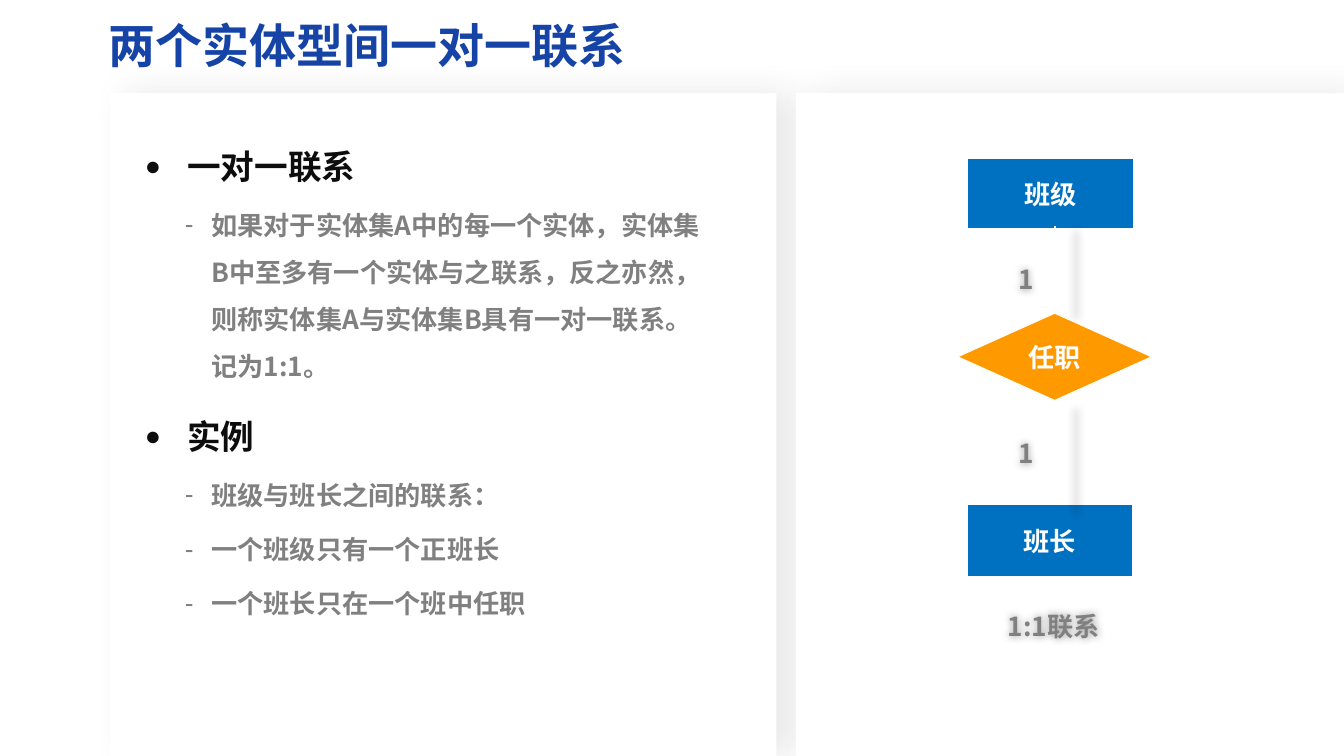
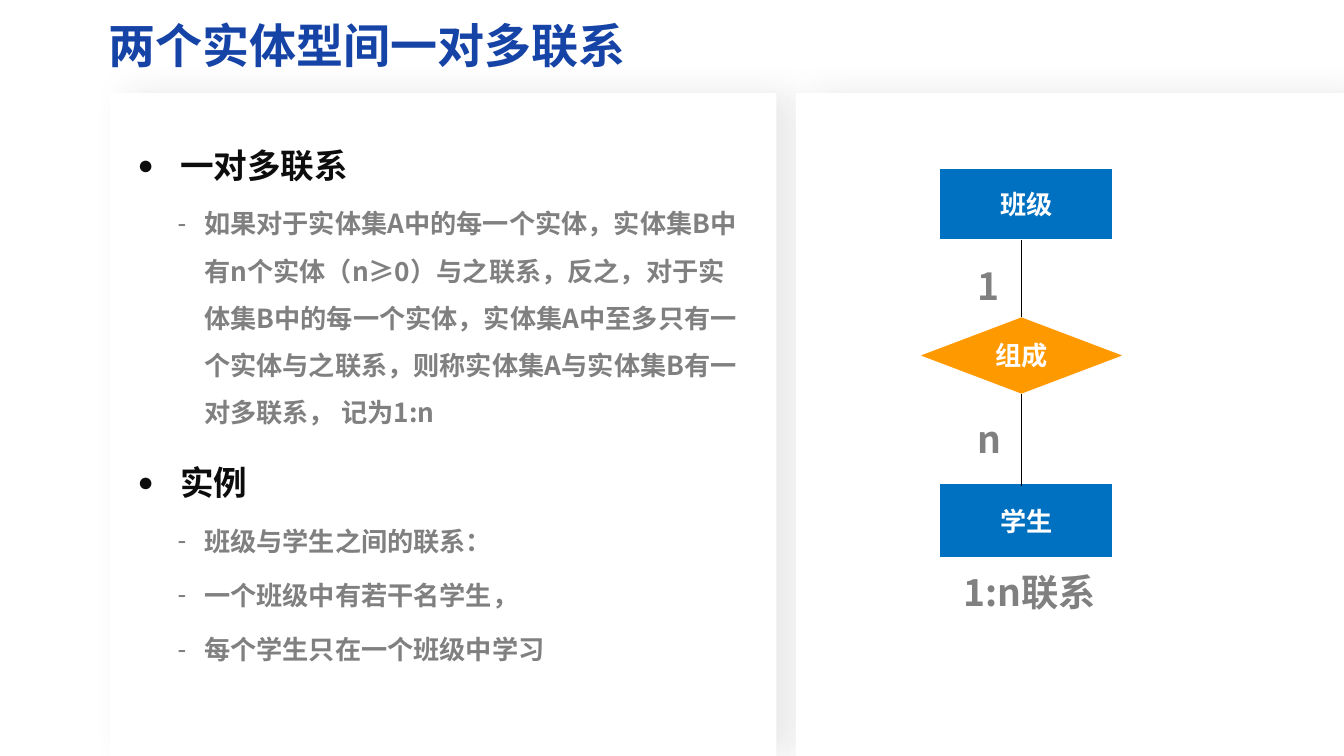
from lxml import etree
from pptx import Presentation
from pptx.dml.color import RGBColor
from pptx.enum import shapes, text
from pptx.oxml import ns
from pptx.util import Pt

FONT = "Noto Sans CJK SC"
BLUE, BLACK, GREY, WHITE = "1543A6", "0D0D0D", "808080", "FFFFFF"
ENTITY, RELATION = "0070C0", "FF9900"
TITLE_BOX = (56.9, 9.4, 715, 38.9)
PANELS = [(65.5, 55.5, 396.7, 394.5), (473.8, 55.5, 326.2, 394.5)]

# Shadows: colour, opacity %, blur, distance, scale %
PANEL_SHADOW = ("262626", 10, 20, 10, 100)
SOFT_SHADOW = ("000000", 40, 5, 0, 102)

# Outline levels: text format, paragraph format, bullet
LEVELS = [
    dict(size=20, color=BLACK, before=8.3, left=25.2, hang=25.2, bullet="●", scale=80),
    dict(size=15.6, color=GREY, before=4.2, left=39.6, hang=15.8, bullet="-", scale=100),
]

SLIDES = [
    dict(
        title="两个实体型间一对一联系",
        body_box=(79.2, 71.3, 347.8, 298.8),
        body=[
            (0, "一对一联系"),
            (1, "如果对于实体集A中的每一个实体，实体集B中至多有一个实体与之联系，"
                "反之亦然，则称实体集A与实体集B具有一对一联系。记为1:1。"),
            (0, "实例"),
            (1, "班级与班长之间的联系："),
            (1, "一个班级只有一个正班长"),
            (1, "一个班长只在一个班中任职"),
        ],
        entities=[("班级", (576, 94.3, 98.6, 41.8)),
                  ("班长", (576, 300.2, 97.9, 43.2))],
        relation=("任职", (570.2, 186.5, 115.2, 51.8)),
        link_ends=(134.6, 300.2),
        link=dict(color=WHITE, width=1),
        labels=[("1", (596.2, 148.3, 28.8, 35.3), "CENTER"),
                ("1", (596.2, 252, 28.8, 35.3), "CENTER"),
                ("1:1联系", (575.3, 356.4, 103.7, 32.4), "CENTER")],
        label=dict(size=15.6, anchor="MIDDLE"),
        shadow=SOFT_SHADOW,
    ),
    dict(
        title="两个实体型间一对多联系",
        body_box=(74.9, 70.6, 374.4, 326.9),
        body=[
            (0, "一对多联系"),
            (1, "如果对于实体集A中的每一个实体，实体集B中有n个实体（n≥0）与之联系，"
                "反之，对于实体集B中的每一个实体，实体集A中至多只有一个实体与之联系，"
                "则称实体集A与实体集B有一对多联系， 记为1:n"),
            (0, "实例"),
            (1, "班级与学生之间的联系："),
            (1, "一个班级中有若干名学生，"),
            (1, "每个学生只在一个班级中学习"),
        ],
        entities=[("班级", (559.4, 100.1, 103, 42.5)),
                  ("学生", (559.4, 288, 103, 43.9))],
        relation=("组成", (547.2, 188.6, 121.7, 46.1)),
        link_ends=(142.6, 289.4),
        link=dict(color="000000", width=0.75),
        labels=[("1", (574.6, 153.4, 29.5, 33.8), "LEFT"),
                ("n", (574.6, 244.1, 30.2, 33.8), "LEFT"),
                ("1:n联系", (558, 335.5, 109.4, 33.8), "CENTER")],
        label=dict(size=22.2, anchor="TOP"),
        shadow=None,
    ),
]


def rgb(value):
    return RGBColor.from_string(value)


def pts(box):
    return [Pt(n) for n in box]


def add_xml(parent, tag, **attrs):
    return etree.SubElement(parent, ns.qn(tag), {k: str(v) for k, v in attrs.items()})


def set_shadow(shape, shadow=None):
    """Call after fill and line are set; no shadow means an empty list."""
    effects = add_xml(shape._element.spPr, "a:effectLst")
    if shadow:
        color, opacity, blur, distance, scale = shadow
        outer = add_xml(effects, "a:outerShdw", blurRad=Pt(blur), dist=Pt(distance),
                        dir=0, sx=scale * 1000, sy=scale * 1000, algn="ctr",
                        rotWithShape=0)
        add_xml(add_xml(outer, "a:srgbClr", val=color), "a:alpha", val=opacity * 1000)


def write(paragraph, words, size, color):
    run = paragraph.add_run()
    run.text = words
    for name, value in dict(name=FONT, size=Pt(size), bold=True).items():
        setattr(run.font, name, value)
    run.font.color.rgb = rgb(color)
    add_xml(run._r.get_or_add_rPr(), "a:ea", typeface=FONT)


def set_text(shape, words, size, color, align="CENTER", anchor="MIDDLE"):
    frame = shape.text_frame
    frame.word_wrap = True
    frame.vertical_anchor = text.MSO_ANCHOR[anchor]
    paragraph = frame.paragraphs[0]
    paragraph.alignment = text.PP_ALIGN[align]
    write(paragraph, words, size, color)
    return paragraph


def add_block(slide, kind, box, fill, line=None, shadow=None):
    block = slide.shapes.add_shape(shapes.MSO_SHAPE[kind], *pts(box))
    block.fill.solid()
    block.fill.fore_color.rgb = rgb(fill)
    if line:
        block.line.color.rgb = rgb(line)
        block.line.width = Pt(0.5)
    else:
        block.line.fill.background()
    set_shadow(block, shadow)
    return block


def add_frame(slide, title):
    for box in PANELS:
        add_block(slide, "RECTANGLE", box, WHITE, shadow=PANEL_SHADOW)
    heading = slide.shapes.add_textbox(*pts(TITLE_BOX))
    frame = heading.text_frame
    for side, inset in dict(left=8, right=8, top=4.3, bottom=4.3).items():
        setattr(frame, f"margin_{side}", Pt(inset))
    set_text(heading, title, 28, BLUE, "LEFT").line_spacing = 0.9


def add_outline(slide, box, items):
    frame = slide.shapes.add_textbox(*pts(box)).text_frame
    frame.word_wrap = True
    for i, (depth, words) in enumerate(items):
        level = LEVELS[depth]
        paragraph = frame.add_paragraph() if i else frame.paragraphs[0]
        paragraph.level = depth
        props = paragraph._p.get_or_add_pPr()
        props.set("marL", str(Pt(level["left"])))
        props.set("indent", str(-Pt(level["hang"])))
        add_xml(props, "a:buSzPct", val=level["scale"] * 1000)
        add_xml(props, "a:buFont", typeface="Arial")
        add_xml(props, "a:buChar", char=level["bullet"])
        paragraph.line_spacing = 1.5
        if i:
            paragraph.space_before = Pt(level["before"])
        write(paragraph, words, level["size"], level["color"])


def add_diagram(slide, data):
    # Entities and the relation between them
    nodes = [("RECTANGLE", ENTITY, *entity) for entity in data["entities"]]
    nodes.insert(1, ("DIAMOND", RELATION, *data["relation"]))
    blocks = []
    for kind, fill, words, box in nodes:
        block = add_block(slide, kind, box, fill, line=WHITE)
        set_text(block, words, 15.6, WHITE)
        blocks.append(block)
    relation = blocks[1]

    # Links run straight from the diamond's tips
    left, _, width, _ = data["relation"][1]
    middle = left + width / 2
    for tip, end in zip((0, 2), data["link_ends"]):
        link = slide.shapes.add_connector(
            shapes.MSO_CONNECTOR.STRAIGHT, *pts((middle, end, middle, end)))
        link.begin_connect(relation, tip)
        link.line.color.rgb = rgb(data["link"]["color"])
        link.line.width = Pt(data["link"]["width"])
        set_shadow(link, data["shadow"])

    # Cardinalities and caption
    for words, box, align in data["labels"]:
        label = slide.shapes.add_textbox(*pts(box))
        set_text(label, words, color=GREY, align=align, **data["label"])
        set_shadow(label, data["shadow"])


def main():
    deck = Presentation()
    deck.slide_width, deck.slide_height = Pt(800), Pt(450)
    for data in SLIDES:
        slide = deck.slides.add_slide(deck.slide_layouts[6])
        add_frame(slide, data["title"])
        add_outline(slide, data["body_box"], data["body"])
        add_diagram(slide, data)
    deck.save("out.pptx")


if __name__ == "__main__":
    main()
